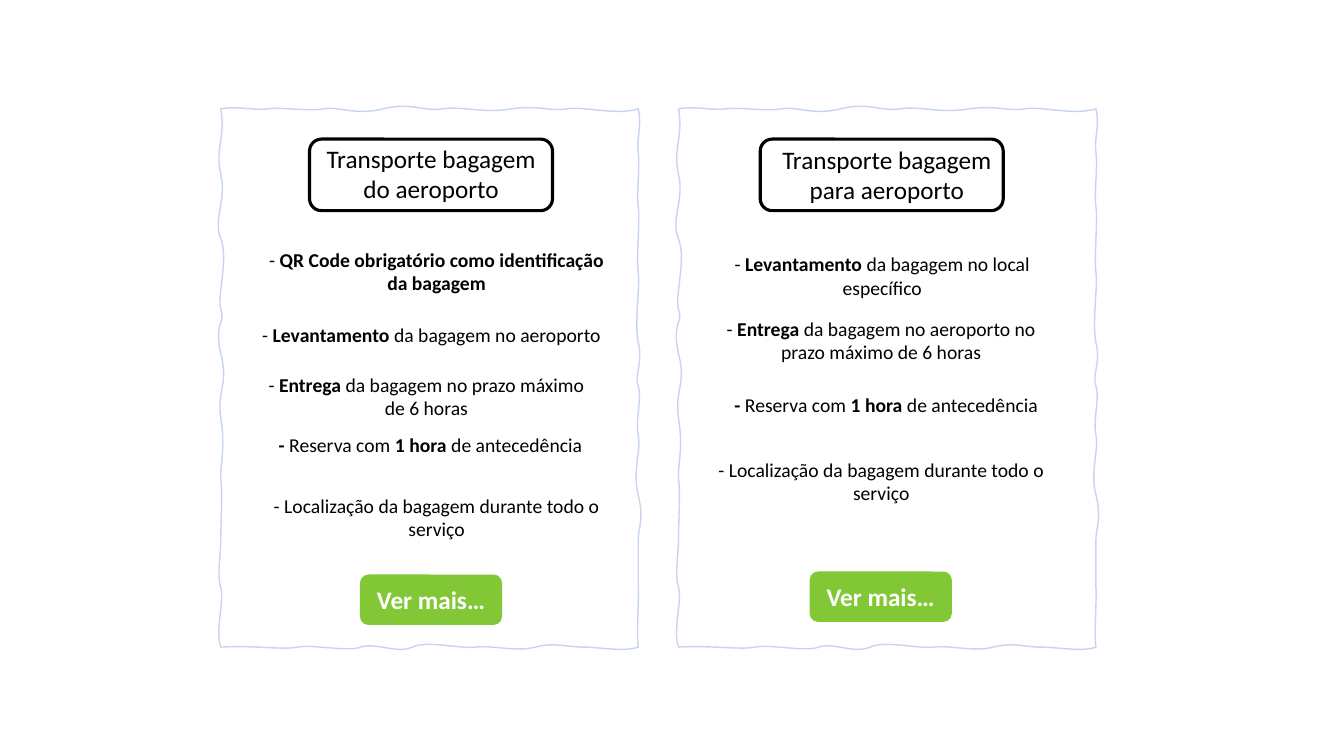
from lxml.etree import SubElement
from pptx import Presentation
from pptx.dml.color import RGBColor
from pptx.enum.shapes import MSO_SHAPE
from pptx.enum.text import MSO_ANCHOR, MSO_AUTO_SIZE, PP_ALIGN
from pptx.oxml.ns import qn
from pptx.util import Inches, Pt

BLACK = RGBColor(0x00, 0x00, 0x00)
WHITE = RGBColor(0xFF, 0xFF, 0xFF)
GREEN = RGBColor(0x82, 0xC8, 0x36)
BLUE = RGBColor(0xC7, 0xD5, 0xED)

CARDS = [
    {
        "shift": 0, "frame": 3.07, "button": (3.57, 5.7),
        "title": ("Transporte bagagem do aeroporto", 3.07, 1.37),
        "items": [
            ("- **QR Code obrigatório como identificação da bagagem**", 2.52, 2.41, 0.57, 0.1),
            ("- **Levantamento** da bagagem no aeroporto", 2.47, 3.15, 0.34, 0.1),
            ("- **Entrega** da bagagem no prazo máximo de 6 horas", 2.47, 3.65, 0.57, 0.2),
            ("**- **Reserva com **1 hora **de antecedência", 2.46, 4.25, 0.34, 0.1),
            ("- Localização da bagagem durante todo o serviço", 2.52, 4.85, 0.57, 0.1),
        ],
    },
    {
        "shift": 4.54, "frame": 7.54, "button": (8.03, 5.67),
        "title": ("Transporte bagagem para aeroporto", 7.59, 1.38),
        "items": [
            ("- **Levantamento** da bagagem no local específico", 6.94, 2.45, 0.57, 0.1),
            ("- **Entrega** da bagagem no aeroporto no prazo máximo de 6 horas", 6.93, 3.09, 0.57, 0.1),
            ("**- **Reserva com **1 hora **de antecedência", 6.98, 3.85, 0.34, 0.1),
            ("- Localização da bagagem durante todo o serviço", 6.93, 4.49, 0.57, 0.1),
        ],
    },
]

LEFT, TOP, RIGHT, BASE = 2.19, 1.08, 6.33, 6.42
WAVES = [
    (TOP, False, [
        (2.37, 1.05, 2.52, 1.1, 2.66), (2.8, 1.06, 3.07, 1.11, 3.21),
        (3.35, 1.05, 3.52, 1.15, 3.8), (4.08, 1.01, 4.2, 1.11, 4.39),
        (4.59, 1.05, 4.79, 1.13, 5.07), (5.35, 1.04, 5.46, 1.11, 5.62),
        (5.77, 1.05, 6.12, 1.15, 6.33)]),
    (RIGHT, True, [
        (1.27, 6.37, 1.36, 6.31, 1.51), (1.67, 6.35, 1.92, 6.31, 2.05),
        (2.19, 6.35, 2.54, 6.31, 2.7), (2.86, 6.35, 3.2, 6.29, 3.4),
        (3.6, 6.38, 3.72, 6.29, 3.83), (3.94, 6.37, 4.16, 6.3, 4.32),
        (4.48, 6.36, 4.67, 6.27, 4.91), (5.15, 6.39, 5.24, 6.33, 5.35),
        (5.45, 6.33, 5.7, 6.33, 5.83), (5.96, 6.34, 6.26, 6.31, 6.42)]),
    (BASE, False, [
        (6.2, 6.47, 5.95, 6.42, 5.78), (5.62, 6.42, 5.51, 6.37, 5.31),
        (5.12, 6.47, 4.89, 6.4, 4.72), (4.56, 6.44, 4.24, 6.35, 4.09),
        (3.94, 6.49, 3.72, 6.37, 3.58), (3.45, 6.47, 3.1, 6.39, 2.95),
        (2.8, 6.45, 2.5, 6.4, 2.19)]),
    (LEFT, True, [
        (6.26, 2.13, 5.95, 2.23, 5.83), (5.71, 2.15, 5.51, 2.19, 5.34),
        (5.17, 2.19, 4.88, 2.21, 4.75), (4.61, 2.18, 4.45, 2.24, 4.15),
        (3.86, 2.15, 3.82, 2.27, 3.51), (3.19, 2.12, 3.21, 2.24, 3.07),
        (2.94, 2.15, 2.57, 2.27, 2.37), (2.18, 2.11, 1.98, 2.25, 1.73),
        (1.48, 2.13, 1.36, 2.24, 1.08)]),
]


def trace():
    """Return three points for each curve of the wavy edge."""
    curves = []
    for edge, upright, rows in WAVES:
        for a1, c1, a2, c2, end in rows:
            pairs = [(a1, c1), (a2, c2), (end, edge)]
            curves.append([(c, a) if upright else (a, c) for a, c in pairs])
    return curves


def wave(shapes, shift):
    """Draw the wavy card outline, moved right by shift."""
    curves = trace()
    pen = shapes.build_freeform(Inches(LEFT + shift), Inches(TOP))
    ends = [(Inches(x + shift), Inches(y)) for *_, (x, y) in curves]
    pen.add_line_segments(ends, close=True)
    shape = pen.convert_to_shape()
    lines = list(shape.element.iter(qn("a:lnTo")))
    for line, curve in zip(lines, curves):
        line.tag = qn("a:cubicBezTo")
        line.remove(line[0])
        for x, y in curve:
            SubElement(line, qn("a:pt"), x=str(Inches(x - LEFT)), y=str(Inches(y - TOP)))
    style(shape, fill=WHITE, line=BLUE)
    tint = next(shape.element.iter(qn("a:srgbClr")))
    SubElement(tint, qn("a:alpha"), val="61000")


def write(shape, text, size=14, color=BLACK, anchor=MSO_ANCHOR.TOP, inset=0.1):
    """Fill a shape with centred text, bold between double stars."""
    frame = shape.text_frame
    frame.word_wrap = True
    frame.vertical_anchor = anchor
    frame.margin_right = Inches(inset)
    para = frame.paragraphs[0]
    para.alignment = PP_ALIGN.CENTER
    for index, part in enumerate(text.split("**")):
        if part:
            run = para.add_run()
            run.text = part
            font = run.font
            font.name, font.size = "Calibri", Pt(size)
            font.bold = index % 2 == 1
            font.color.rgb = color


def style(shape, fill=None, line=None, width=1):
    """Set the fill and line of a shape and drop its shadow."""
    shape.shadow.inherit = False
    if fill is None:
        shape.fill.background()
    else:
        shape.fill.solid()
        shape.fill.fore_color.rgb = fill
    if line is None:
        shape.line.fill.background()
    else:
        shape.line.color.rgb = line
        shape.line.width = Pt(width)


def place(x, y, w, h):
    """Return a box as lengths."""
    return [Inches(n) for n in (x, y, w, h)]


def label(shapes, text, box, **kind):
    """Add a text box that grows with its text."""
    shape = shapes.add_textbox(*place(*box))
    shape.text_frame.auto_size = MSO_AUTO_SIZE.SHAPE_TO_FIT_TEXT
    write(shape, text, **kind)


def draw(shapes, card):
    """Draw the parts of one service card."""
    frame = shapes.add_shape(MSO_SHAPE.ROUNDED_RECTANGLE, *place(card["frame"], 1.38, 2.41, 0.71))
    style(frame, line=BLACK, width=2.25)
    title, x, y = card["title"]
    label(shapes, title, (x, y, 2.41, 0.71), size=18)

    for text, x, y, h, inset in card["items"]:
        label(shapes, text, (x, y, 3.62, h), inset=inset)

    button = shapes.add_shape(MSO_SHAPE.ROUNDED_RECTANGLE, *place(*card["button"], 1.41, 0.5))
    style(button, fill=GREEN)
    write(button, "**Ver mais…**", size=18, color=WHITE, anchor=MSO_ANCHOR.MIDDLE)


def main():
    """Build the slide and save it."""
    deck = Presentation()
    deck.slide_width, deck.slide_height = Inches(13.33), Inches(7.5)
    slide = deck.slides.add_slide(deck.slide_layouts[6])
    for card in CARDS:
        wave(slide.shapes, card["shift"])
    for card in CARDS:
        draw(slide.shapes, card)
    deck.save("out.pptx")


if __name__ == "__main__":
    main()
